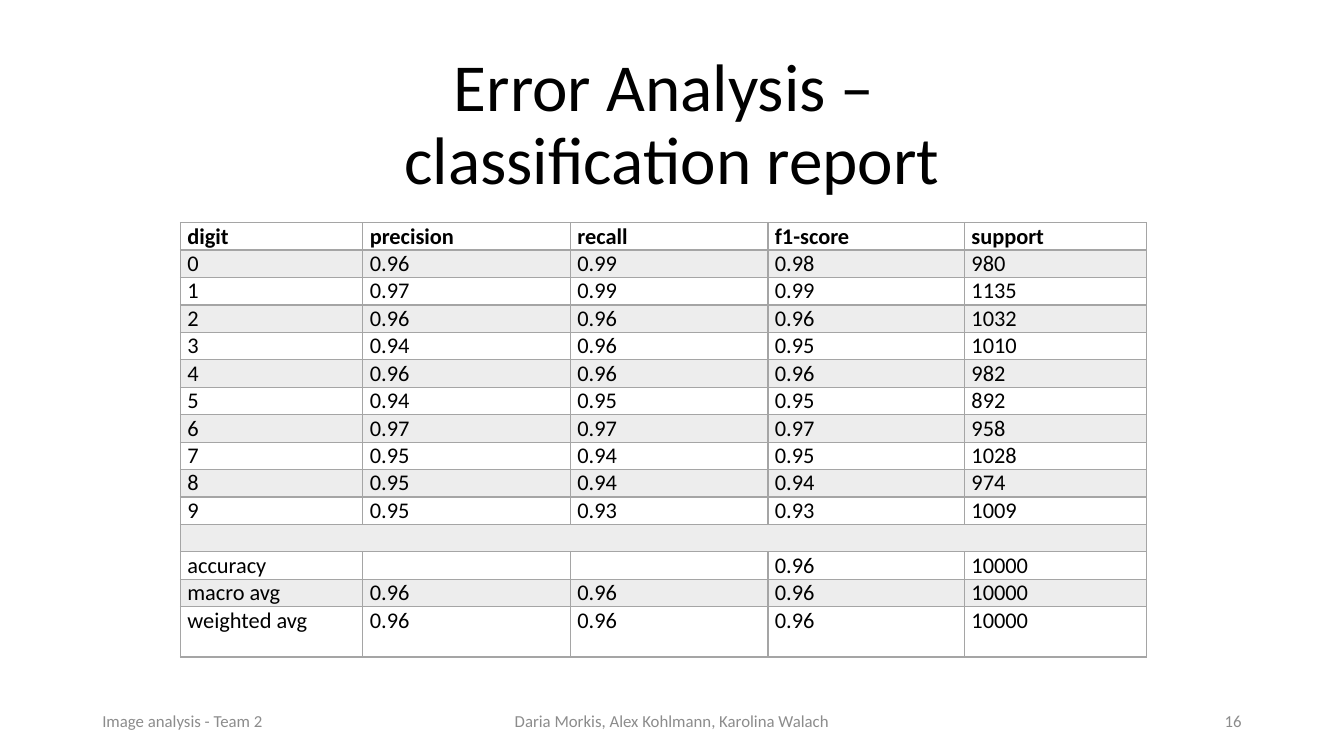
from lxml.etree import SubElement
from pptx import Presentation
from pptx.dml.color import RGBColor
from pptx.enum.text import MSO_ANCHOR, PP_ALIGN
from pptx.oxml.ns import qn
from pptx.util import Pt

FONT = "Calibri"
BLACK = RGBColor(0x00, 0x00, 0x00)
FOOTER_GRAY = RGBColor(0x8C, 0x8C, 0x8C)
TABLE_GRAY = RGBColor(0xA5, 0xA5, 0xA5)

HEADER = ["digit", "precision", "recall", "f1-score", "support"]
REPORT = [
    ["0", "0.96", "0.99", "0.98", "980"],
    ["1", "0.97", "0.99", "0.99", "1135"],
    ["2", "0.96", "0.96", "0.96", "1032"],
    ["3", "0.94", "0.96", "0.95", "1010"],
    ["4", "0.96", "0.96", "0.96", "982"],
    ["5", "0.94", "0.95", "0.95", "892"],
    ["6", "0.97", "0.97", "0.97", "958"],
    ["7", "0.95", "0.94", "0.95", "1028"],
    ["8", "0.95", "0.94", "0.94", "974"],
    ["9", "0.95", "0.93", "0.93", "1009"],
    ["", "", "", "", ""],
    ["accuracy", "", "", "0.96", "10000"],
    ["macro avg", "0.96", "0.96", "0.96", "10000"],
    ["weighted avg", "0.96", "0.96", "0.96", "10000"],
]
SPACER_ROW = 11
COLUMN_WIDTHS = [130.3, 148.3, 141.1, 140.4, 130.3]
ROW_HEIGHT = 19.6
LAST_ROW_HEIGHT = 36


def add_text(slide, text, left, top, width, height, size, color, align, anchor):
    box = slide.shapes.add_textbox(Pt(left), Pt(top), Pt(width), Pt(height))
    frame = box.text_frame
    frame.word_wrap = True
    frame.vertical_anchor = anchor
    frame.text = text
    paragraph = frame.paragraphs[0]
    paragraph.alignment = align
    for run in paragraph.runs:
        run.font.name = FONT
        run.font.size = Pt(size)
        run.font.color.rgb = color
    return paragraph


def add_border(cell, side, width):
    line = SubElement(cell._tc.get_or_add_tcPr(), qn(f"a:ln{side}"), w=str(Pt(width)))
    fill = SubElement(line, qn("a:solidFill"))
    SubElement(fill, qn("a:srgbClr"), val=str(TABLE_GRAY))


presentation = Presentation()
presentation.slide_width = Pt(960)
presentation.slide_height = Pt(540)
slide = presentation.slides.add_slide(presentation.slide_layouts[6])

# Title
title = add_text(slide, "Error Analysis – \vclassification report", 120, 74.2, 720, 71.3,
                 48, BLACK, PP_ALIGN.CENTER, MSO_ANCHOR.BOTTOM)
title.line_spacing = 0.9

# Classification report table
rows = [HEADER] + REPORT
table_height = ROW_HEIGHT * (len(rows) - 1) + LAST_ROW_HEIGHT
table = slide.shapes.add_table(len(rows), len(HEADER), Pt(128.9), Pt(159.1),
                               Pt(sum(COLUMN_WIDTHS)), Pt(table_height)).table
table.first_row = False
table.horz_banding = False
for column, width in zip(table.columns, COLUMN_WIDTHS):
    column.width = Pt(width)
for row in table.rows:
    row.height = Pt(ROW_HEIGHT)
table.rows[len(rows) - 1].height = Pt(LAST_ROW_HEIGHT)

for row_index, values in enumerate(rows):
    for column_index, value in enumerate(values):
        cell = table.cell(row_index, column_index)
        cell.margin_left = cell.margin_right = Pt(5)
        cell.margin_top = cell.margin_bottom = 0

        # The rule under the header is heavier than the others
        for side in "LRTB":
            under_header = (row_index, side) in [(0, "B"), (1, "T")]
            add_border(cell, side, 2 if under_header else 1)

        # Every second row is tinted
        if row_index % 2:
            cell.fill.solid()
            cell.fill.fore_color.rgb = TABLE_GRAY
            tint = cell._tc.tcPr.find(f"{qn('a:solidFill')}/{qn('a:srgbClr')}")
            SubElement(tint, qn("a:alpha"), val="20000")
        else:
            cell.fill.background()

        paragraph = cell.text_frame.paragraphs[0]
        if value:
            paragraph.text = value
            font = paragraph.runs[0].font
            font.name = FONT
            font.size = Pt(16)
            font.bold = row_index == 0
            font.color.rgb = BLACK
        else:
            # Keeps empty cells from stretching their row
            SubElement(paragraph._p, qn("a:endParaRPr"), sz="1200")

table.cell(SPACER_ROW, 0).merge(table.cell(SPACER_ROW, len(HEADER) - 1))

# Footer
for text, left, width, align in [
    ("Image analysis - Team 2", 66, 216, PP_ALIGN.LEFT),
    ("Daria Morkis, Alex Kohlmann, Karolina Walach", 318, 324, PP_ALIGN.CENTER),
    ("16", 678, 216, PP_ALIGN.RIGHT),
]:
    add_text(slide, text, left, 500.5, width, 28.8, 12, FOOTER_GRAY, align, MSO_ANCHOR.MIDDLE)

presentation.save("out.pptx")
